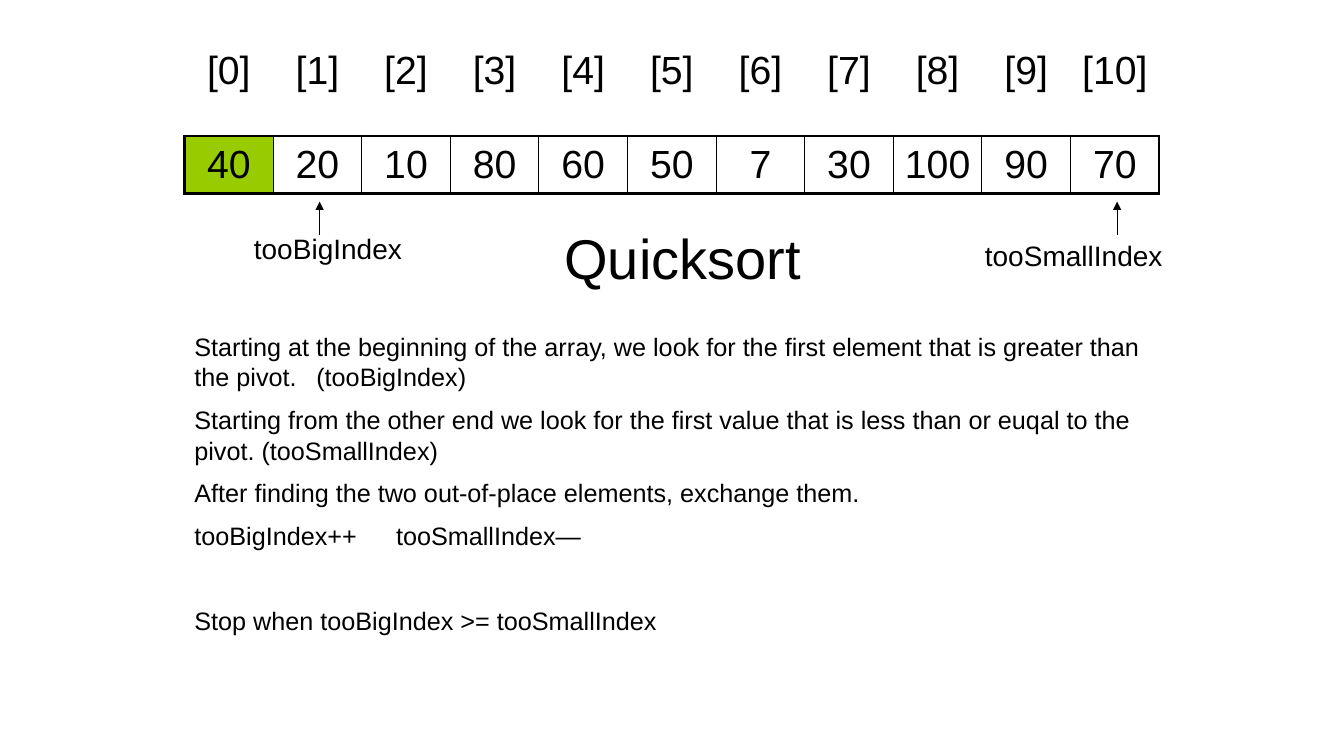
"""Build the quicksort partition slide with its array, index markers and steps."""
import pptx
import pptx.dml.color
import pptx.enum.shapes
import pptx.enum.text
import pptx.oxml
import pptx.oxml.ns
import pptx.util
from pptx.util import Inches

NO_GRID_STYLE = "{2D5ABB26-0587-4C30-8999-92F81FD0307C}"
ALIGN = pptx.enum.text.PP_ALIGN


def rgb(value):
    return pptx.dml.color.RGBColor.from_string(value)


def add_xml(parent, tag, body="", attrs=""):
    ns = pptx.oxml.ns.nsdecls("a")
    el = pptx.oxml.parse_xml(f"<a:{tag} {ns} {attrs}>{body}</a:{tag}>")
    parent.append(el)


class Deck:
    font = "Arial"
    ink = "000000"
    pivot = "99CC00"
    inner, outer = 1, 2.25

    def __init__(self):
        self.prs = pptx.Presentation()
        self.prs.slide_width = Inches(13.33)
        self.prs.slide_height = Inches(7.5)
        self.s = self.prs.slides.add_slide(self.prs.slide_layouts[6])

    def paragraph(self, p, text, size, tab=None, **formats):
        if tab:
            stop = f'<a:tab pos="{Inches(tab)}" algn="l"/>'
            add_xml(p._p.get_or_add_pPr(), "tabLst", stop)
        for name, value in formats.items():
            setattr(p, name, value)
        r = p.add_run()
        r.text = text
        for name, value in {"name": self.font, "size": pptx.util.Pt(size)}.items():
            setattr(r.font, name, value)
        r.font.color.rgb = rgb(self.ink)

    def text(self, x, y, w, h, size, paragraphs):
        tf = self.s.shapes.add_textbox(Inches(x), Inches(y), Inches(w), Inches(h)).text_frame
        tf.word_wrap = True
        for i, (text, formats) in enumerate(paragraphs):
            p = tf.add_paragraph() if i else tf.paragraphs[0]
            self.paragraph(p, text, size, **formats)

    def borders(self, cell, first, last):
        widths = {
            "lnL": self.outer if first else self.inner,
            "lnR": self.outer if last else self.inner,
            "lnT": self.outer,
            "lnB": self.outer,
        }
        line = f'<a:solidFill><a:srgbClr val="{self.ink}"/></a:solidFill>'
        for tag, width in widths.items():
            add_xml(cell._tc.get_or_add_tcPr(), tag, line, f'w="{pptx.util.Pt(width)}"')

    def row(self, x, y, w, h, values, boxed=False):
        n = len(values)
        frame = self.s.shapes.add_table(1, n, Inches(x), Inches(y), Inches(w), Inches(h))
        table = frame.table
        for name in ("first_row", "horz_banding"):
            setattr(table, name, False)
        table._tbl.tblPr.find(pptx.oxml.ns.qn("a:tableStyleId")).text = NO_GRID_STYLE
        for i, value in enumerate(values):
            table.columns[i].width = Inches(w / n)
            cell = table.cell(0, i)
            cell.vertical_anchor = pptx.enum.text.MSO_ANCHOR.MIDDLE
            self.paragraph(cell.text_frame.paragraphs[0], str(value), 28, alignment=ALIGN.CENTER)
            if boxed:
                self.borders(cell, i == 0, i == n - 1)
            if boxed and i == 0:
                cell.fill.solid()
                cell.fill.fore_color.rgb = rgb(self.pivot)
            else:
                cell.fill.background()

    def arrow_up(self, x, bottom, top):
        kind = pptx.enum.shapes.MSO_CONNECTOR.STRAIGHT
        sp = self.s.shapes.add_connector(kind, Inches(x), Inches(bottom), Inches(x), Inches(top))
        sp.line.color.rgb = rgb(self.ink)
        sp.line.width = pptx.util.Pt(0.75)
        add_xml(sp.line._get_or_add_ln(), "tailEnd", attrs='type="triangle"')
        add_xml(sp._element.spPr, "effectLst")


def main():
    deck = Deck()
    left, width = 1.83, 9.67
    numbers = [40, 20, 10, 80, 60, 50, 7, 30, 100, 90, 70]
    deck.row(left, 1.35, width, 0.57, numbers, boxed=True)
    deck.row(left, 0.42, width, 0.57, [f"[{i}]" for i in range(len(numbers))])

    gap = {"space_before": pptx.util.Pt(9)}
    wide_gap = {"space_before": pptx.util.Pt(39)}
    deck.text(left, 3.24, width, 3.26, 18, [
        ("Starting at the beginning of the array, we look for the first element "
         "that is greater than the pivot.\t(tooBigIndex)", {"tab": 1.21}),
        ("Starting from the other end we look for the first value that is less "
         "than or euqal to the pivot. (tooSmallIndex)", gap),
        ("After finding the two out-of-place elements, exchange them.", gap),
        ("tooBigIndex++\ttooSmallIndex—", {"tab": 2, **gap}),
        ("Stop when tooBigIndex >= tooSmallIndex", wide_gap),
    ])

    deck.text(2.42, 2.25, 2, 0.43, 20, [("tooBigIndex", {})])
    deck.text(9.67, 2.32, 2.33, 0.43, 20, [("tooSmallIndex", {})])
    for x in (3.17, 11.08):
        deck.arrow_up(x, 2.33, 2)
    deck.text(5.5, 2.17, 3.5, 0.77, 40, [("Quicksort", {})])
    deck.prs.save("out.pptx")


if __name__ == "__main__":
    main()
